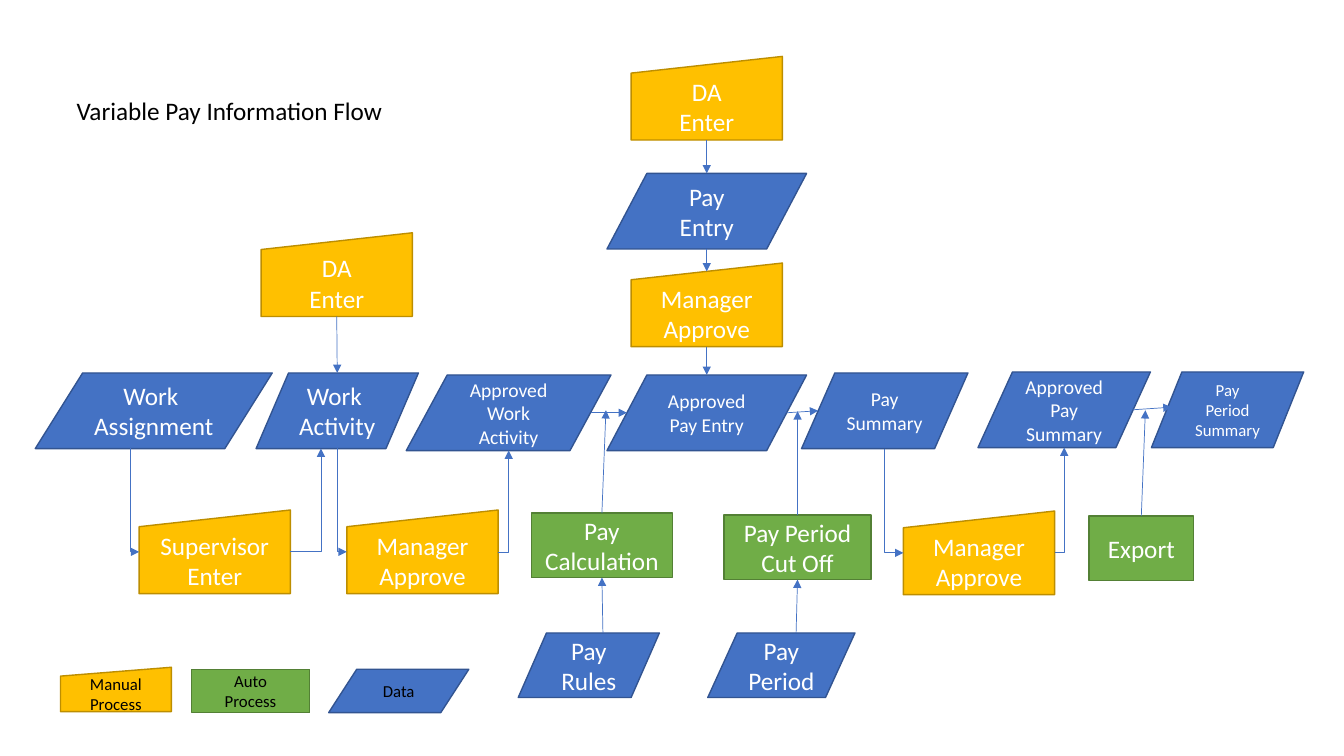
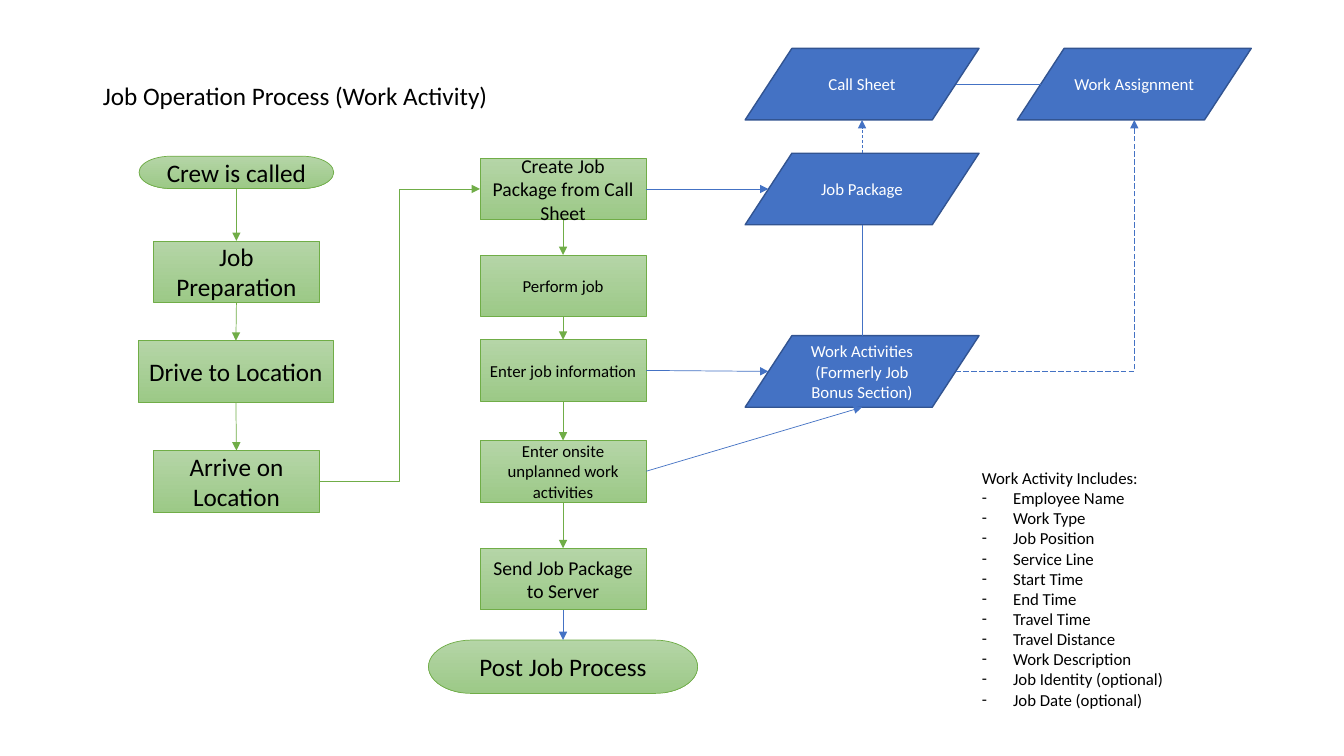
from dataclasses import dataclass

from lxml.etree import SubElement
from pptx import Presentation
from pptx.dml.color import RGBColor
from pptx.enum.dml import MSO_LINE
from pptx.enum.shapes import MSO_CONNECTOR, MSO_SHAPE
from pptx.enum.text import MSO_ANCHOR, MSO_AUTO_SIZE, PP_ALIGN
from pptx.oxml.ns import qn
from pptx.util import Pt

PX = 9144  # 100 px to the inch


@dataclass(frozen=True)
class Theme:
    font: str = "Calibri"
    black: str = "000000"
    white: str = "FFFFFF"
    blue: str = "4472C4"
    green: str = "70AD47"
    large: int = 18
    medium: int = 14
    small: int = 12
    thin: float = 0.5
    outline: float = 1


THEME = Theme()

# Kind of box: preset, fill (two colours make a gradient), line, line width, text colour
KINDS = {
    "manual": (MSO_SHAPE.FLOWCHART_MANUAL_INPUT, ["FFC000"], "BD8E00", THEME.outline, THEME.white),
    "auto": (MSO_SHAPE.FLOWCHART_PROCESS, [THEME.green], "538035", THEME.outline, THEME.white),
    "data": (MSO_SHAPE.FLOWCHART_DATA, [THEME.blue], "325491", THEME.outline, THEME.white),
    "step": (MSO_SHAPE.FLOWCHART_PROCESS, ["B5D5A7", "9CC987"], THEME.green, THEME.thin, THEME.black),
    "terminal": (MSO_SHAPE.FLOWCHART_TERMINATOR, ["B5D5A7", "9CC987"], THEME.green, THEME.thin, THEME.black),
}

# Connection sites: index, then place as a share of width and height
PLAIN_SITES = {"top": (0, 0.5, 0), "left": (1, 0, 0.5), "bottom": (2, 0.5, 1), "right": (3, 1, 0.5)}
SITES = {
    MSO_SHAPE.FLOWCHART_MANUAL_INPUT: {**PLAIN_SITES, "top": (0, 0.5, 0.1)},
    MSO_SHAPE.FLOWCHART_DATA: {
        "top edge": (0, 0.6, 0), "top": (1, 0.5, 0), "left": (2, 0.1, 0.5),
        "bottom edge": (3, 0.4, 1), "bottom": (4, 0.5, 1), "right": (5, 0.9, 0.5),
    },
}


def add_box(slide, kind, text, size, bounds, ink=None):
    preset, fills, line, line_width, kind_ink = KINDS[kind]
    shape = slide.shapes.add_shape(preset, *[length * PX for length in bounds])
    shape.shadow.inherit = False
    if len(fills) == 1:
        shape.fill.solid()
        shape.fill.fore_color.rgb = RGBColor.from_string(fills[0])
    else:
        shape.fill.gradient()
        shape.fill.gradient_angle = 270
        for stop, color in zip(shape.fill.gradient_stops, fills):
            stop.color.rgb = RGBColor.from_string(color)
    shape.line.color.rgb = RGBColor.from_string(line)
    shape.line.width = Pt(line_width)
    shape.text_frame.text = text
    for paragraph in shape.text_frame.paragraphs:
        paragraph.alignment = PP_ALIGN.CENTER
        for run in paragraph.runs:
            run.font.name = THEME.font
            run.font.size = Pt(size)
            run.font.color.rgb = RGBColor.from_string(ink or kind_ink)
    return shape


def connect(slide, start, end, color=THEME.blue, arrow="tailEnd", elbow=None, dash=None):
    """Join two ends, each a (shape, site) pair or an (x, y) point in px."""
    points, joints = [], []
    for tag, (first, second) in (("a:stCxn", start), ("a:endCxn", end)):
        if isinstance(first, int):
            points += [first * PX, second * PX]
            continue
        index, across, down = SITES.get(first.auto_shape_type, PLAIN_SITES)[second]
        points += [int(first.left + across * first.width), int(first.top + down * first.height)]
        joints.append((tag, first.shape_id, index))
    route = MSO_CONNECTOR.ELBOW if elbow else MSO_CONNECTOR.STRAIGHT
    connector = slide.shapes.add_connector(route, *points)
    element = connector._element
    if elbow:
        element.find(".//" + qn("a:prstGeom")).set("prst", elbow)
    for tag, shape_id, index in joints:
        SubElement(element.find(".//" + qn("p:cNvCxnSpPr")), qn(tag), id=str(shape_id), idx=str(index))
    connector.line.color.rgb = RGBColor.from_string(color)
    connector.line.width = Pt(THEME.thin)
    if dash:
        connector.line.dash_style = dash
    if arrow:
        SubElement(element.find(".//" + qn("a:ln")), qn("a:" + arrow), type="triangle")
    SubElement(element.spPr, qn("a:effectLst"))


presentation = Presentation()
presentation.slide_width = 1333 * PX
presentation.slide_height = 750 * PX

# Slides and their titles
slides = []
for title_text, left, top in [
    ("Variable Pay Information Flow", 66, 90),
    ("Job Operation Process (Work Activity)", 92, 75),
]:
    slide = presentation.slides.add_slide(presentation.slide_layouts[5])
    title = slide.shapes.title
    title.left, title.top, title.width, title.height = left * PX, top * PX, 559 * PX, 40 * PX
    title.text_frame.text = title_text
    title.text_frame.auto_size = MSO_AUTO_SIZE.NONE
    title.text_frame.vertical_anchor = MSO_ANCHOR.TOP
    paragraph = title.text_frame.paragraphs[0]
    paragraph.alignment = PP_ALIGN.LEFT
    font = paragraph.runs[0].font
    font.name, font.size = THEME.font, Pt(THEME.large)
    font.color.rgb = RGBColor.from_string(THEME.black)
    slides.append(slide)
pay_slide, job_slide = slides

# Pay flow: boxes
pay = {}
for name, kind, text, size, bounds in [
    ("approved work", "data", "Approved Work Activity", THEME.medium, (403, 372, 203, 75)),
    ("rules", "data", "Pay\nRules", THEME.large, (514, 628, 140, 64)),
    ("period", "data", "Pay\nPeriod", THEME.large, (702, 628, 146, 64)),
    ("calculation", "auto", "Pay Calculation", THEME.large, (527, 509, 140, 64)),
    ("cut off", "auto", "Pay Period\nCut Off", THEME.large, (718, 511, 146, 64)),
    ("export", "auto", "Export", THEME.large, (1080, 512, 104, 64)),
    ("approved entry", "data", "Approved Pay Entry", THEME.medium, (602, 372, 198, 75)),
    ("summary", "data", "Pay\nSummary", THEME.medium, (795, 370, 165, 75)),
    ("period summary", "data", "Pay Period Summary", THEME.small, (1142, 369, 151, 75)),
    ("assignment", "data", "Work \nAssignment", THEME.large, (35, 370, 235, 75)),
    ("activity", "data", "Work \nActivity", THEME.large, (254, 370, 161, 75)),
    ("supervisor", "manual", "Supervisor\nEnter", THEME.large, (138, 506, 150, 83)),
    ("work approval", "manual", "Manager Approve", THEME.large, (344, 506, 150, 83)),
    ("activity input", "manual", "DA\nEnter", THEME.large, (259, 231, 150, 83)),
    ("entry input", "manual", "DA\nEnter", THEME.large, (626, 56, 150, 83)),
    ("entry", "data", "Pay\nEntry", THEME.large, (602, 172, 198, 75)),
    ("entry approval", "manual", "Manager\nApprove", THEME.large, (626, 261, 150, 83)),
    ("approved summary", "data", "Approved Pay\nSummary", THEME.medium, (970, 369, 171, 75)),
    ("summary approval", "manual", "Manager Approve", THEME.large, (896, 507, 150, 83)),
]:
    pay[name] = add_box(pay_slide, kind, text, size, bounds)

# Pay flow: straight arrows
for start, start_site, end, end_site in [
    ("approved work", "right", "approved entry", "left"),
    ("approved entry", "right", "summary", "left"),
    ("rules", "top edge", "calculation", "bottom"),
    ("period", "top edge", "cut off", "bottom"),
    ("activity input", "bottom", "activity", "top"),
    ("entry input", "bottom", "entry", "top"),
    ("entry", "bottom", "entry approval", "top"),
    ("entry approval", "bottom", "approved entry", "top"),
]:
    connect(pay_slide, (pay[start], start_site), (pay[end], end_site))
for start, start_site, point in [
    ("calculation", "top", (601, 407)),
    ("cut off", "top", (791, 408)),
    ("export", "top", (1136, 407)),
    ("approved summary", "right", (1162, 404)),
]:
    connect(pay_slide, (pay[start], start_site), point)

# Pay flow: each manual step takes data from its left and passes it on at its right
for source, source_site, step, target, target_site in [
    ("assignment", "bottom edge", "supervisor", "activity", "bottom edge"),
    ("activity", "bottom", "work approval", "approved work", "bottom"),
    ("summary", "bottom", "summary approval", "approved summary", "bottom"),
]:
    connect(pay_slide, (pay[step], "left"), (pay[source], source_site),
            arrow="headEnd", elbow="bentConnector2")
    connect(pay_slide, (pay[step], "right"), (pay[target], target_site), elbow="bentConnector2")

# Pay flow: legend
for kind, text, bounds in [
    ("manual", "Manual Process", (60, 662, 110, 44)),
    ("auto", "Auto\nProcess", (190, 664, 117, 43)),
    ("data", "Data", (326, 664, 139, 43)),
]:
    add_box(pay_slide, kind, text, THEME.small, bounds, THEME.black)

# Job process: two columns of steps, each box joined to the next
columns = []
for center, steps in [
    (234, [
        ("terminal", "Crew is called", THEME.large, 155, 193, 32),
        ("step", "Job Preparation", THEME.large, 239, 165, 61),
        ("step", "Drive to Location", THEME.large, 338, 194, 61),
        ("step", "Arrive on Location", THEME.large, 447, 165, 61),
    ]),
    (558, [
        ("step", "Create Job Package from Call Sheet", THEME.medium, 157, 165, 61),
        ("step", "Perform job", THEME.small, 253, 165, 61),
        ("step", "Enter job information", THEME.small, 337, 165, 61),
        ("step", "Enter onsite unplanned work activities", THEME.small, 437, 165, 61),
        ("step", "Send Job Package to Server", THEME.medium, 544, 165, 61),
        ("terminal", "Post Job Process", THEME.large, 635, 267, 53),
    ]),
]:
    boxes = [
        add_box(job_slide, kind, text, size, (center - width // 2, top, width, height))
        for kind, text, size, top, width, height in steps
    ]
    for upper, lower in zip(boxes, boxes[1:]):
        is_last_step = center == 558 and lower is boxes[-1]
        color = THEME.blue if is_last_step else THEME.green
        connect(job_slide, (upper, "bottom"), (lower, "top"), color)
    columns.append(boxes)
crew_steps, job_steps = columns
create, perform, enter, unplanned, send, post = job_steps
connect(job_slide, (crew_steps[-1], "right"), (create, "left"), THEME.green, elbow="bentConnector3")

# Job process: data
call_sheet, assignment, package, activities = [
    add_box(job_slide, "data", text, THEME.small, (left, top, 232, 71))
    for text, left, top in [
        ("Call Sheet", 739, 48),
        ("Work Assignment", 1009, 48),
        ("Job Package", 739, 152),
        ("Work Activities\n(Formerly Job Bonus Section)", 739, 333),
    ]
]
connect(job_slide, (create, "right"), (package, "left"))
connect(job_slide, (enter, "right"), (activities, "left"))
connect(job_slide, (unplanned, "right"), (activities, "bottom"))
connect(job_slide, (package, "top"), (call_sheet, "bottom"), dash=MSO_LINE.DASH)
connect(job_slide, (activities, "right"), (assignment, "bottom"),
        elbow="bentConnector2", dash=MSO_LINE.LONG_DASH)
connect(job_slide, (call_sheet, "right"), (assignment, "left"), arrow=None)
connect(job_slide, (package, "bottom"), (activities, "top"), arrow=None)

# Job process: contents of a work activity
contents = job_slide.shapes.add_textbox(964 * PX, 459 * PX, 210 * PX, 293 * PX)
contents.text_frame.word_wrap = True
contents.text_frame.text = "\n".join([
    "Work Activity Includes:", "Employee Name", "Work Type", "Job Position", "Service Line",
    "Start Time", "End Time", "Travel Time", "Travel Distance", "Work Description",
    "Job Identity (optional)", "Job Date (optional)",
])
for number, paragraph in enumerate(contents.text_frame.paragraphs):
    font = paragraph.runs[0].font
    font.name, font.size = THEME.font, Pt(THEME.small)
    font.color.rgb = RGBColor.from_string(THEME.black)
    if number > 0:
        properties = paragraph._p.get_or_add_pPr()
        properties.set("marL", str(31 * PX))
        properties.set("indent", str(-31 * PX))
        SubElement(properties, qn("a:buFont"), typeface=THEME.font)
        SubElement(properties, qn("a:buChar"), char="-")

presentation.save("out.pptx")
